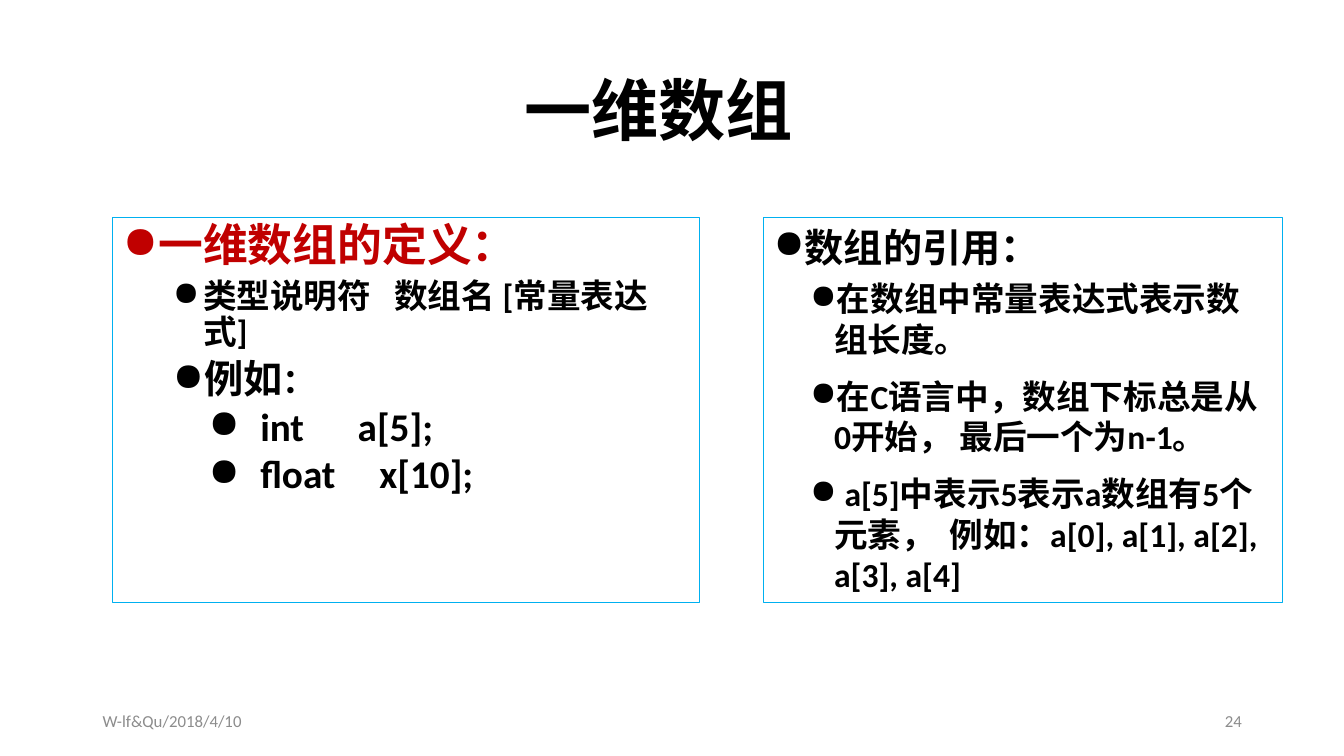
import dataclasses

import lxml.etree
import pptx
import pptx.dml.color
import pptx.enum.shapes
import pptx.enum.text
import pptx.oxml.ns
import pptx.util

Cm, Pt = pptx.util.Cm, pptx.util.Pt
RGB = pptx.dml.color.RGBColor
ALIGN = pptx.enum.text.PP_ALIGN
ANCHOR = pptx.enum.text.MSO_ANCHOR


@dataclasses.dataclass(frozen=True)
class Theme:
    font: str = "Calibri"
    ink: RGB = RGB(0x00, 0x00, 0x00)
    accent: RGB = RGB(0xC0, 0x00, 0x00)
    border: RGB = RGB(0x00, 0xB0, 0xF0)
    muted: RGB = RGB(0x8C, 0x8C, 0x8C)
    title: int = 48
    heading: int = 32
    subheading: int = 28
    body: int = 24
    footer: int = 12


theme = Theme()


def add_run(p, text, size, color, bold=True, spacing=0):
    """Add one run; spacing is extra character width in points."""
    r = p.add_run()
    r.text = text
    r.font.name = theme.font
    r.font.size = Pt(size)
    r.font.bold = bold
    r.font.color.rgb = color
    if spacing:
        r.font._element.set("spc", str(spacing * 100))


def set_bullet(p, level, margin, hang):
    p.level = level
    pPr = p._p.get_or_add_pPr()
    pPr.set("marL", str(Cm(margin)))
    pPr.set("indent", str(-Cm(hang)))
    bullet = lxml.etree.SubElement(pPr, pptx.oxml.ns.qn("a:buChar"))
    bullet.set("char", "●")


prs = pptx.Presentation()
prs.slide_width, prs.slide_height = Cm(33.87), Cm(19.05)
s = prs.slides.add_slide(prs.slide_layouts[6])

# Title and footer: text, left, top, width, height, size, colour, bold, alignment
labels = [
    ("一维数组", 4.11, 1.02, 24.97, 3.68, theme.title, theme.ink, True, ALIGN.CENTER),
    ("W-lf&Qu/2018/4/10", 2.34, 17.65, 7.62, 1.02, theme.footer, theme.muted, False, ALIGN.LEFT),
    ("24", 23.93, 17.65, 7.62, 1.02, theme.footer, theme.muted, False, ALIGN.RIGHT),
]
for text, left, top, width, height, size, color, bold, align in labels:
    tf = s.shapes.add_textbox(Cm(left), Cm(top), Cm(width), Cm(height)).text_frame
    tf.word_wrap = True
    tf.vertical_anchor = ANCHOR.MIDDLE
    p = tf.paragraphs[0]
    p.alignment = align
    p.line_spacing = 0.9 if bold else 1.0
    add_run(p, text, size, color, bold)

# Paragraphs: level, margin, hang, space before, space after, colour, runs
# Runs: text, size and, for a wide gap, extra spacing
big, mid, small = theme.heading, theme.subheading, theme.body
definition = [
    (0, 0.76, 0.76, 0, 0, theme.accent, [("一维数组的定义：", big)]),
    (1, 2.03, 0.76, 5.8, 0, theme.ink,
     [("类型说明符", small), (" ", small, 11), ("数组名 [常量表达式]", small)]),
    (1, 2.03, 0.76, 5.8, 0, theme.ink, [("例如", mid), ("：", small)]),
    (2, 3.47, 1.3, 3.7, 0, theme.ink, [("int", mid), (" ", mid, 32), ("a[5];", mid)]),
    (2, 3.47, 1.3, 3.7, 0, theme.ink, [("float", mid), (" ", mid, 25), ("x[10];", mid)]),
]
reference = [(0, 0.58, 0.58, 0, 0, theme.ink, [("数组的引用：", mid)])]
for runs in (
    [("在数组中常量表达式表示数组长度。", small)],
    [("在C语言中，数组下标总是从0开始， 最后一个为n-1。", small)],
    [(" a[5]中表示5表示a数组有5个元素，", small), (" ", small, 5),
     ("例如：a[0], a[1], a[2], a[3], a[4]", small)],
):
    reference.append((1, 1.52, 0.6, 6, 6, theme.ink, runs))

# Two outlined panels
for left, width, line_spacing, paragraphs in (
    (2.84, 14.78, 0.9, definition),
    (19.25, 13.08, 1.0, reference),
):
    sp = s.shapes.add_shape(pptx.enum.shapes.MSO_SHAPE.RECTANGLE,
                            Cm(left), Cm(5.49), Cm(width), Cm(9.7))
    sp.shadow.inherit = False
    sp.fill.background()
    sp.line.color.rgb = theme.border
    sp.line.width = Pt(0.75)
    tf = sp.text_frame
    tf.word_wrap = True
    tf.vertical_anchor = ANCHOR.TOP
    for i, (level, margin, hang, before, after, color, runs) in enumerate(paragraphs):
        p = tf.add_paragraph() if i else tf.paragraphs[0]
        set_bullet(p, level, margin, hang)
        p.alignment = ALIGN.LEFT
        p.line_spacing = line_spacing
        p.space_before, p.space_after = Pt(before), Pt(after)
        for text, size, *spacing in runs:
            add_run(p, text, size, color, spacing=sum(spacing))

prs.save("out.pptx")
